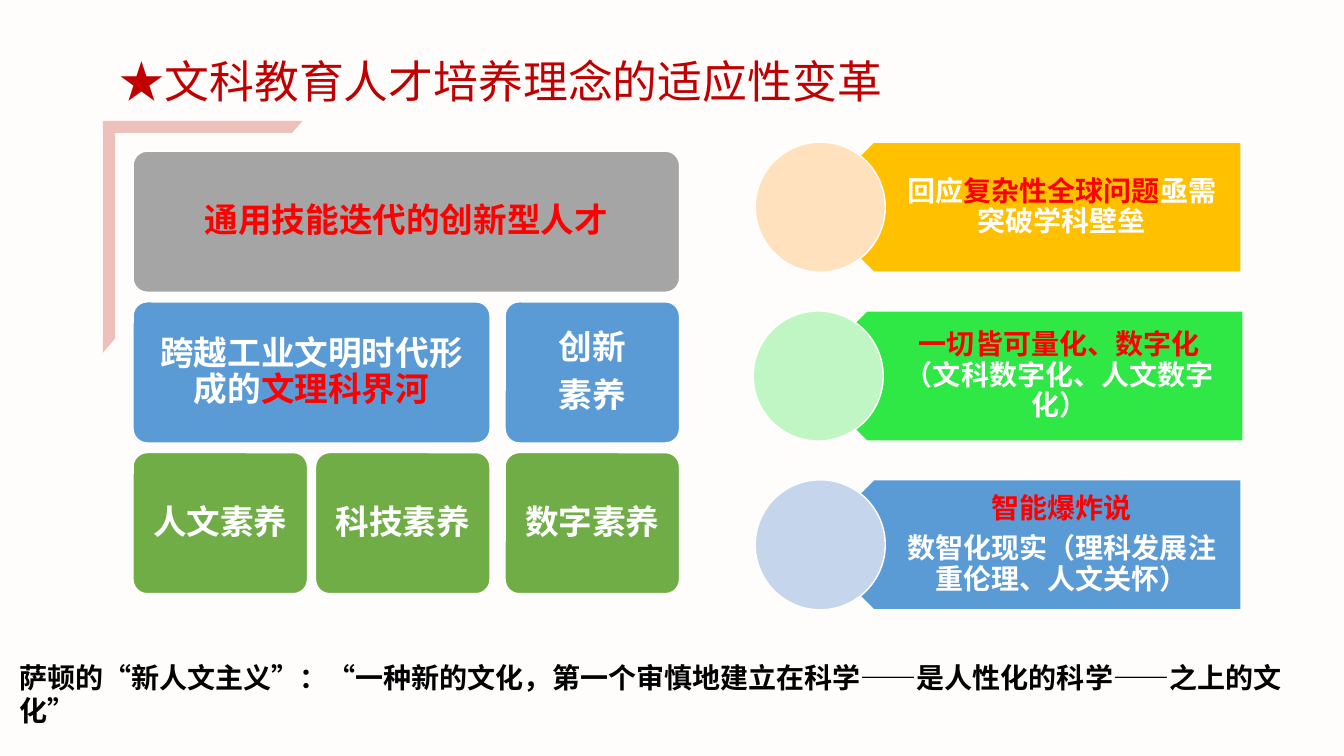
import pptx
import pptx.dml.color
import pptx.enum.shapes
import pptx.enum.text
import pptx.util

Inches = pptx.util.Inches
Pt = pptx.util.Pt
RGBColor = pptx.dml.color.RGBColor
SHAPE = pptx.enum.shapes.MSO_SHAPE
ALIGN = pptx.enum.text.PP_ALIGN
ANCHOR = pptx.enum.text.MSO_ANCHOR
AUTO_SIZE = pptx.enum.text.MSO_AUTO_SIZE

FONT = "Noto Sans CJK SC"
BACKGROUND = RGBColor(0xFF, 0xFD, 0xFB)
WHITE = RGBColor(0xFF, 0xFF, 0xFF)
BLACK = RGBColor(0x00, 0x00, 0x00)
RED = RGBColor(0xFF, 0x00, 0x00)
DARK_RED = RGBColor(0xC0, 0x00, 0x00)
PINK = RGBColor(0xEE, 0xC0, 0xBA)
GRAY = RGBColor(0xA5, 0xA5, 0xA5)
BLUE = RGBColor(0x5B, 0x9B, 0xD5)
GREEN = RGBColor(0x70, 0xAD, 0x47)
GOLD = RGBColor(0xFF, 0xC0, 0x00)
LIME = RGBColor(0x30, 0xE8, 0x45)
PALE_ORANGE = RGBColor(0xFF, 0xE2, 0xBD)
PALE_GREEN = RGBColor(0xC0, 0xF6, 0xC4)
PALE_BLUE = RGBColor(0xC5, 0xD6, 0xEC)

TITLE = "★文科教育人才培养理念的适应性变革"
QUOTATION = "萨顿的“新人文主义”：“一种新的文化，第一个审慎地建立在科学——是人性化的科学——之上的文化”"

TILES = [
    (0, 0, 3, GRAY, [[("通用技能迭代的创新型人才", RED)]]),
    (1, 0, 2, BLUE, [[("跨越工业文明时代形成的", WHITE), ("文理科界河", RED)]]),
    (2, 0, 1, GREEN, [[("人文素养", WHITE)]]),
    (2, 1, 1, GREEN, [[("科技素养", WHITE)]]),
    (1, 2, 1, BLUE, [[("创新", WHITE)], [("素养", WHITE)]]),
    (2, 2, 1, GREEN, [[("数字素养", WHITE)]]),
]

BANNERS = [
    (7.49, 12.31, GOLD, PALE_ORANGE,
     [[("回应", WHITE), ("复杂性全球问题", RED), ("亟需突破学科壁垒", WHITE)]]),
    (7.47, 12.33, LIME, PALE_GREEN,
     [[("一切皆可量化、数字化", RED), ("（文科数字化、人文数字化）", WHITE)]]),
    (7.49, 12.31, BLUE, PALE_BLUE,
     [[("智能爆炸说", RED)], [("数智化现实（理科发展注重伦理、人文关怀）", WHITE)]]),
]


def add_box(shapes, kind, left, top, width, height, fill, outline=WHITE):
    shape = shapes.add_shape(kind, Inches(left), Inches(top), Inches(width), Inches(height))
    shape.shadow.inherit = False
    shape.fill.solid()
    shape.fill.fore_color.rgb = fill
    if outline is None:
        shape.line.fill.background()
    else:
        shape.line.color.rgb = outline
        shape.line.width = Pt(1)
    return shape


def add_text_box(shapes, left, top, width, height):
    return shapes.add_textbox(Inches(left), Inches(top), Inches(width), Inches(height))


def add_run(paragraph, text, size, color, bold):
    run = paragraph.add_run()
    run.text = text
    run.font.name = FONT
    run.font.size = Pt(size)
    run.font.bold = bold
    run.font.color.rgb = color


def write_centered(shape, lines, size, margins):
    frame = shape.text_frame
    frame.word_wrap = True
    frame.vertical_anchor = ANCHOR.MIDDLE
    frame.margin_left, frame.margin_top, frame.margin_right, frame.margin_bottom = map(Inches, margins)
    for index, runs in enumerate(lines):
        paragraph = frame.add_paragraph() if index else frame.paragraphs[0]
        paragraph.alignment = ALIGN.CENTER
        paragraph.line_spacing = 0.9
        paragraph.space_after = Pt(size * 0.35)
        for text, color in runs:
            add_run(paragraph, text, size, color, True)


def write_line(slide, left, top, width, height, text, size, color, bold):
    frame = add_text_box(slide.shapes, left, top, width, height).text_frame
    frame.word_wrap = True
    frame.auto_size = AUTO_SIZE.SHAPE_TO_FIT_TEXT
    paragraph = frame.paragraphs[0]
    add_run(paragraph, text, size, color, bold)
    return paragraph


def add_title(slide, left, top, width, height):
    paragraph = write_line(slide, left, top, width, height, TITLE, 32, DARK_RED, False)
    paragraph.line_spacing = 1.5
    paragraph.space_after = Pt(3)


def add_corner(slide, left, top, width, height):
    corner = add_box(slide.shapes, SHAPE.HALF_FRAME, left, top, width, height, PINK, None)
    corner.adjustments[0] = 0.06
    corner.adjustments[1] = 0.062


def add_tiles(slide, left, top, width, height):
    shapes = slide.shapes.add_group_shape().shapes
    tile_width, tile_height = 1.73, 1.4
    column_lefts = [left, left + 1.81, left + width - tile_width]
    row_pitch = (height - tile_height) / 2
    for row, column, span, fill, lines in TILES:
        tile_left = column_lefts[column]
        tile_right = column_lefts[column + span - 1] + tile_width
        tile = add_box(shapes, SHAPE.ROUNDED_RECTANGLE, tile_left, top + row * row_pitch,
                       tile_right - tile_left, tile_height, fill)
        tile.adjustments[0] = 0.1
        write_centered(tile, lines, 24, (0.1, 0.1, 0.1, 0.1))


def add_banners(slide, top, height):
    shapes = slide.shapes.add_group_shape().shapes
    size = 1.29
    pitch = (height - size) / (len(BANNERS) - 1)
    for index, (left, right, fill, circle_fill, lines) in enumerate(BANNERS):
        banner_top = top + index * pitch
        plate_left = left + 0.53 if index != 1 else left + 0.48
        plate = add_box(shapes, SHAPE.PENTAGON, plate_left, banner_top, right - plate_left, size, fill)
        plate.rotation = 180
        label_left = plate_left + size / 4
        label = add_text_box(shapes, label_left, banner_top, right - label_left, size)
        write_centered(label, lines, 20, (0.57, 0.08, 0.16, 0.08))
        add_box(shapes, SHAPE.OVAL, left, banner_top, size, size, circle_fill)


def add_quotation(slide, left, top, width, height):
    write_line(slide, left, top, width, height, QUOTATION, 20, BLACK, True)


def main():
    presentation = pptx.Presentation()
    presentation.slide_width = Inches(13.33)
    presentation.slide_height = Inches(7.5)
    slide = presentation.slides.add_slide(presentation.slide_layouts[6])
    slide.background.fill.solid()
    slide.background.fill.fore_color.rgb = BACKGROUND
    add_title(slide, 1.09, 0.22, 8.96, 0.84)
    add_corner(slide, 1.02, 1.2, 1.98, 2.3)
    add_tiles(slide, 1.32, 1.5, 5.42, 4.39)
    add_banners(slide, 1.41, 4.64)
    add_quotation(slide, 0.09, 6.5, 13.09, 0.44)
    presentation.save("out.pptx")


if __name__ == "__main__":
    main()
